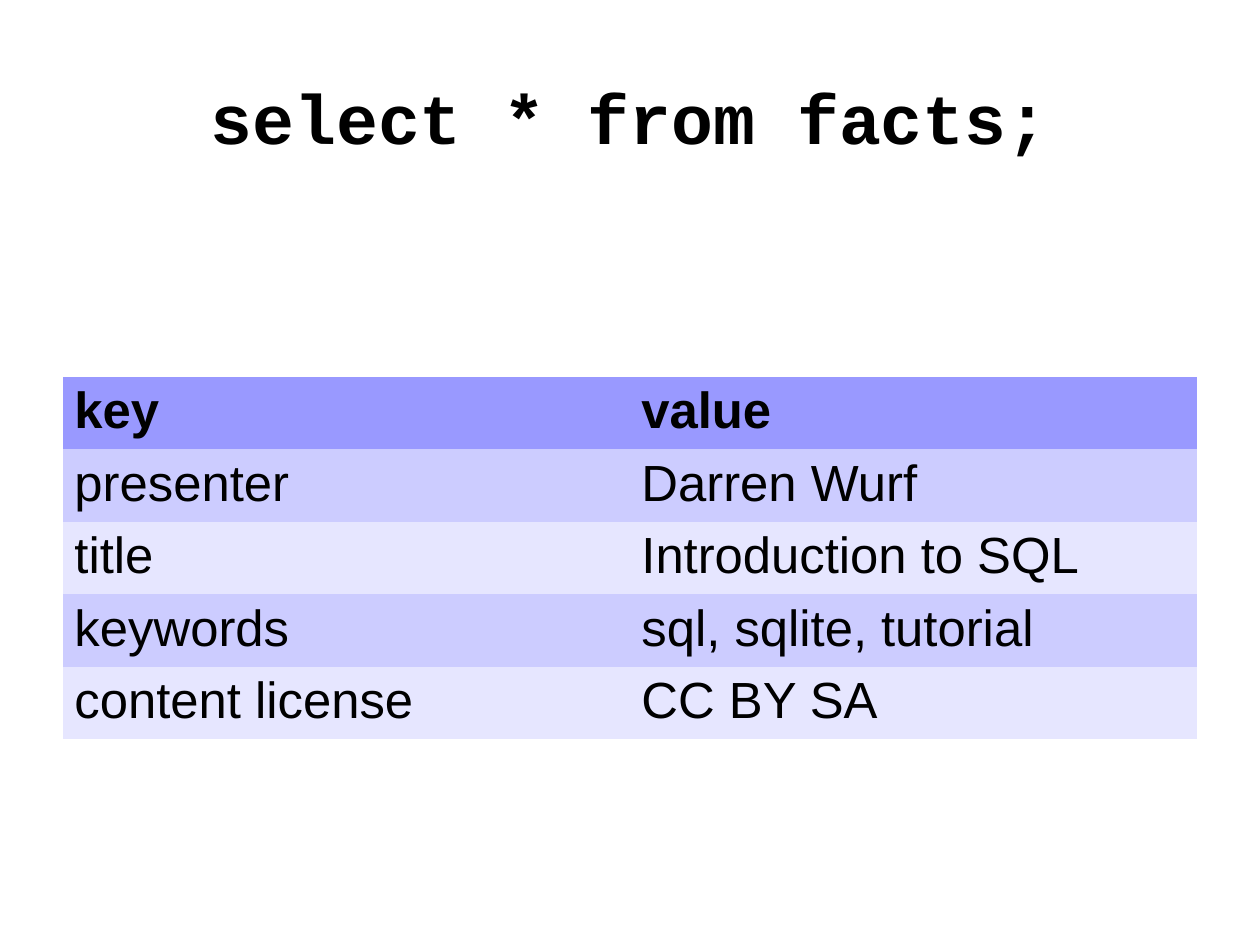
from pptx import Presentation
from pptx.dml import color
from pptx.enum import text
from pptx.util import Pt


def rgb(value):
    return color.RGBColor.from_string(value)


def style(p, font, size, bold):
    f = p.runs[0].font
    f.name, f.size, f.bold = font, Pt(size), bold
    f.color.rgb = rgb("000000")


prs = Presentation()
prs.slide_width, prs.slide_height = Pt(793.7), Pt(595.3)
s = prs.slides.add_slide(prs.slide_layouts[6])

left, width = 39.7, 714.3

# Title
title = s.shapes.add_textbox(Pt(left), Pt(23.75), Pt(width), Pt(99.35))
tf = title.text_frame
tf.word_wrap = True
tf.margin_left = tf.margin_right = tf.margin_top = tf.margin_bottom = 0
tf.vertical_anchor = text.MSO_ANCHOR.MIDDLE
tf.text = "select * from facts;"
p = tf.paragraphs[0]
p.alignment = text.PP_ALIGN.CENTER
style(p, "Courier New", 44, True)

# Facts table: header, then alternating bands
facts = [
    ("key", "value"),
    ("presenter", "Darren Wurf"),
    ("title", "Introduction to SQL"),
    ("keywords", "sql, sqlite, tutorial"),
    ("content license", "CC BY SA"),
]
header_fill, band_fills = "9999FF", ("E6E6FF", "CCCCFF")
row_height = 45.6
table = s.shapes.add_table(len(facts), 2, Pt(left), Pt(237.5), Pt(width),
                           Pt(row_height * len(facts))).table
table.horz_banding = False
for i, fact in enumerate(facts):
    table.rows[i].height = Pt(row_height)
    for j, value in enumerate(fact):
        cell = table.cell(i, j)
        cell.fill.solid()
        cell.fill.fore_color.rgb = rgb(band_fills[i % 2] if i else header_fill)
        cell.text = value
        style(cell.text_frame.paragraphs[0], "Arial", 32, i == 0)

# Cells without borders
for cell in table.iter_cells():
    tc_pr = cell._tc.get_or_add_tcPr()
    for n, side in enumerate(("lnL", "lnR", "lnT", "lnB")):
        ln = tc_pr.makeelement(
            "{http://schemas.openxmlformats.org/drawingml/2006/main}" + side, {"w": "0"})
        ln.append(ln.makeelement(
            "{http://schemas.openxmlformats.org/drawingml/2006/main}noFill", {}))
        tc_pr.insert(n, ln)

prs.save("out.pptx")
